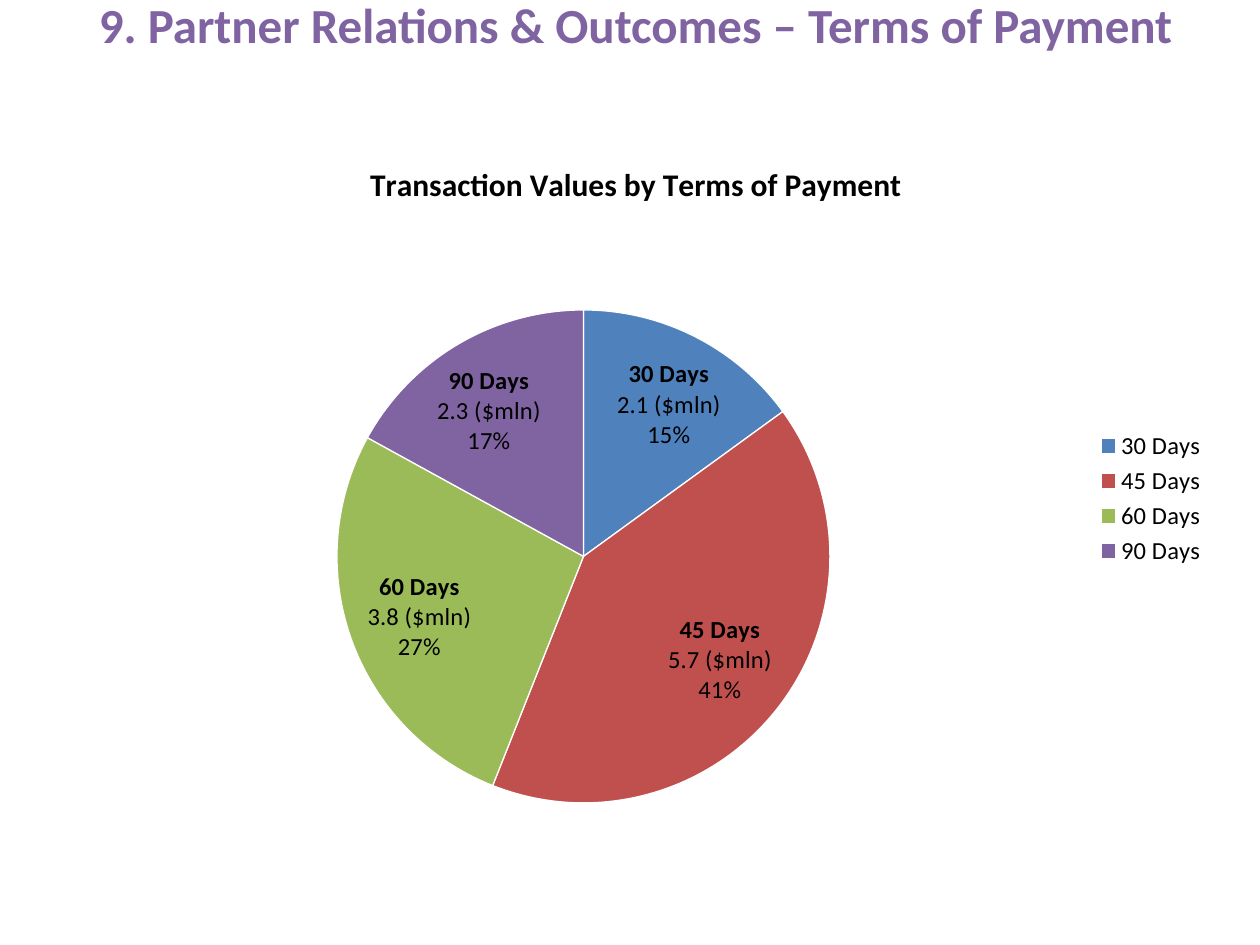
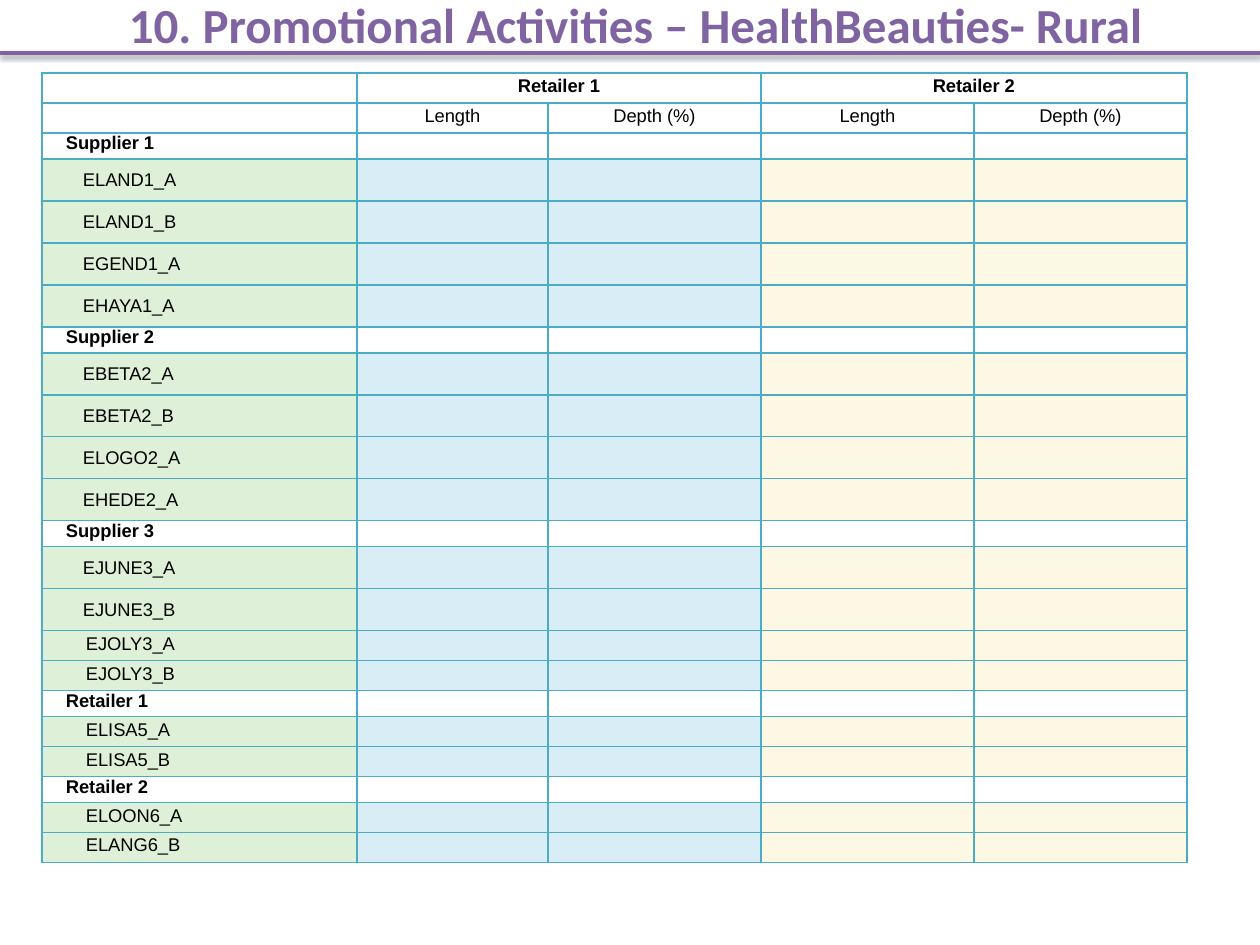
from lxml import etree
from pptx import Presentation
from pptx.chart.data import CategoryChartData
from pptx.dml.color import RGBColor as RGB
from pptx.enum.chart import XL_CHART_TYPE as CHART, XL_LABEL_POSITION as LABEL, XL_LEGEND_POSITION as LEGEND
from pptx.enum.shapes import MSO_CONNECTOR as CONNECTOR
from pptx.enum.text import MSO_ANCHOR as ANCHOR, MSO_AUTO_SIZE as AUTOSIZE, PP_ALIGN as ALIGN
from pptx.oxml import parse_xml
from pptx.oxml.ns import nsdecls, qn
from pptx.util import Emu, Pt

COLORS = {
    "purple": "8064A2", "blue": "4F81BD", "red": "C0504D", "green": "9BBB59",
    "black": "000000", "white": "FFFFFF", "border": "4BACC6",
    "product": "DFF0D8", "retailer1": "D9EDF7", "retailer2": "FCF8E3",
}
C = {name: RGB.from_string(value) for name, value in COLORS.items()}


def px(n):
    return Emu(round(n * 9144000 / 1260))


def add_titled_slide(title):
    s = prs.slides.add_slide(prs.slide_layouts[5])
    sp = s.shapes.title
    sp.left, sp.top, sp.width, sp.height = px(21), px(-31), px(1229), px(110)
    tf = sp.text_frame
    tf.text = title
    tf.word_wrap = True
    tf.auto_size = AUTOSIZE.NONE
    tf.vertical_anchor = ANCHOR.MIDDLE
    p = tf.paragraphs[0]
    p.alignment = ALIGN.CENTER
    font = p.runs[0].font
    font.name, font.size, font.bold = "Calibri", Pt(28), True
    font.color.rgb = C["purple"]
    return s


prs = Presentation()
prs.slide_width, prs.slide_height = px(1260), px(945)

# Slide 1: payment terms pie
s = add_titled_slide("9. Partner Relations & Outcomes – Terms of Payment")
terms = [
    ("30 Days", 15, "2.1", "blue"),
    ("45 Days", 41, "5.7", "red"),
    ("60 Days", 27, "3.8", "green"),
    ("90 Days", 17, "2.3", "purple"),
]
data = CategoryChartData()
data.categories = [term[0] for term in terms]
data.add_series("Series 1", [term[1] for term in terms])
chart = s.shapes.add_chart(CHART.PIE, px(53), px(136), px(1166), px(725), data).chart
chart.font.name, chart.font.size = "Calibri", Pt(10)
chart.font.color.rgb = C["black"]
chart.has_title = True
chart.chart_title.include_in_layout = False
tf = chart.chart_title.text_frame
tf.text = "Transaction Values by Terms of Payment"
font = tf.paragraphs[0].runs[0].font
font.name, font.size, font.bold = "Calibri", Pt(18), True
font.color.rgb = C["black"]
chart.has_legend = True
chart.legend.position = LEGEND.RIGHT
chart.legend.include_in_layout = False
chart.legend.font.size = Pt(14)

plot = chart.plots[0]
plot.vary_by_categories = True
for i, (days, percent, millions, color) in enumerate(terms):
    point = plot.series[0].points[i]
    point.format.fill.solid()
    point.format.fill.fore_color.rgb = C[color]
    point.format.line.color.rgb = C["white"]
    point.format.line.width = Pt(0.75)
    label = point.data_label
    label.position = LABEL.BEST_FIT
    tf = label.text_frame
    tf.text = f"{days}\n{millions} ($mln)\n{percent}%"
    for line, p in enumerate(tf.paragraphs):
        font = p.runs[0].font
        font.name, font.size, font.bold = "Calibri", Pt(14), line == 0
        font.color.rgb = C["black"]

plot_area = chart._chartSpace.chart.plotArea
for layout in plot_area.findall(qn("c:layout")):
    plot_area.remove(layout)
plot_area.insert(0, parse_xml(
    f'<c:layout {nsdecls("c")}><c:manualLayout><c:layoutTarget val="inner"/>'
    '<c:xMode val="edge"/><c:yMode val="edge"/><c:x val="0.24"/><c:y val="0.24"/>'
    '<c:w val="0.43"/><c:h val="0.68"/></c:manualLayout></c:layout>'))

# Slide 2: promotion table
s = add_titled_slide("10. Promotional Activities – HealthBeauties- Rural")
rule = s.shapes.add_connector(CONNECTOR.STRAIGHT, 0, px(53), px(1260), px(53))
rule.line.color.rgb = C["purple"]
rule.line.width = Pt(2)
rule._element.spPr.append(parse_xml(
    f'<a:effectLst {nsdecls("a")}><a:outerShdw blurRad="{Pt(3.1)}" dist="{Pt(1.6)}" '
    'dir="5400000" rotWithShape="0"><a:srgbClr val="000000"><a:alpha val="38000"/>'
    '</a:srgbClr></a:outerShdw></a:effectLst>'))

groups = [
    ("Supplier 1", ["ELAND1_A", "ELAND1_B", "EGEND1_A", "EHAYA1_A"]),
    ("Supplier 2", ["EBETA2_A", "EBETA2_B", "ELOGO2_A", "EHEDE2_A"]),
    ("Supplier 3", ["EJUNE3_A", "EJUNE3_B", "EJOLY3_A", "EJOLY3_B"]),
    ("Retailer 1", ["ELISA5_A", "ELISA5_B"]),
    ("Retailer 2", ["ELOON6_A", "ELANG6_B"]),
]
compact = {"EJOLY3_A", "EJOLY3_B", "ELISA5_A", "ELISA5_B", "ELOON6_A", "ELANG6_B"}

# Row kind: height, indent, alignment, line spacing, bold
kinds = {
    "retailer": (30, 0, ALIGN.CENTER, 1.15, True),
    "measure": (30, 0, ALIGN.CENTER, 1.15, False),
    "group": (26, 19, ALIGN.LEFT, 1.0, True),
    "tall": (42, 36, ALIGN.JUSTIFY, Pt(18), False),
    "compact": (30, 39, ALIGN.LEFT, 1.15, False),
}
rows = [
    ("retailer", ["", "Retailer 1", "", "Retailer 2", ""]),
    ("measure", ["", "Length", "Depth (%)", "Length", "Depth (%)"]),
]
for group, products in groups:
    rows.append(("group", [group, "", "", "", ""]))
    for product in products:
        rows.append(("compact" if product in compact else "tall", [product, "", "", "", ""]))

widths = [315, 191, 213, 213, 213]
product_fills = ["product", "retailer1", "retailer1", "retailer2", "retailer2"]
height = sum(kinds[kind][0] for kind, _ in rows)
table = s.shapes.add_table(len(rows), len(widths), px(42), px(73), px(sum(widths)), px(height)).table
table.first_row = table.horz_banding = False
for col, width in zip(table.columns, widths):
    col.width = px(width)
for first in (1, 3):
    table.cell(0, first).merge(table.cell(0, first + 1))

for r, (kind, texts) in enumerate(rows):
    row_height, indent, align, spacing, bold = kinds[kind]
    table.rows[r].height = px(row_height)
    for c, text in enumerate(texts):
        cell = table.cell(r, c)
        cell.margin_left = cell.margin_right = px(5)
        cell.margin_top = cell.margin_bottom = 0
        tc_pr = cell._tc.get_or_add_tcPr()
        for side in "LRTB":
            ln = etree.SubElement(tc_pr, qn(f"a:ln{side}"), w=str(Pt(1)))
            fill = etree.SubElement(ln, qn("a:solidFill"))
            etree.SubElement(fill, qn("a:srgbClr"), val=COLORS["border"])
        cell.fill.solid()
        is_product = kind in ("tall", "compact")
        cell.fill.fore_color.rgb = C[product_fills[c] if is_product else "white"]
        p = cell.text_frame.paragraphs[0]
        if not text:
            etree.SubElement(p._p, qn("a:endParaRPr"), sz="1050")
            continue
        p.text = text
        p.alignment = align
        p.line_spacing = spacing
        p._p.get_or_add_pPr().set("indent", str(px(indent)))
        font = p.runs[0].font
        font.name, font.size, font.bold = "Arial", Pt(10.5), bold
        font.color.rgb = C["black"]

prs.save("out.pptx")
